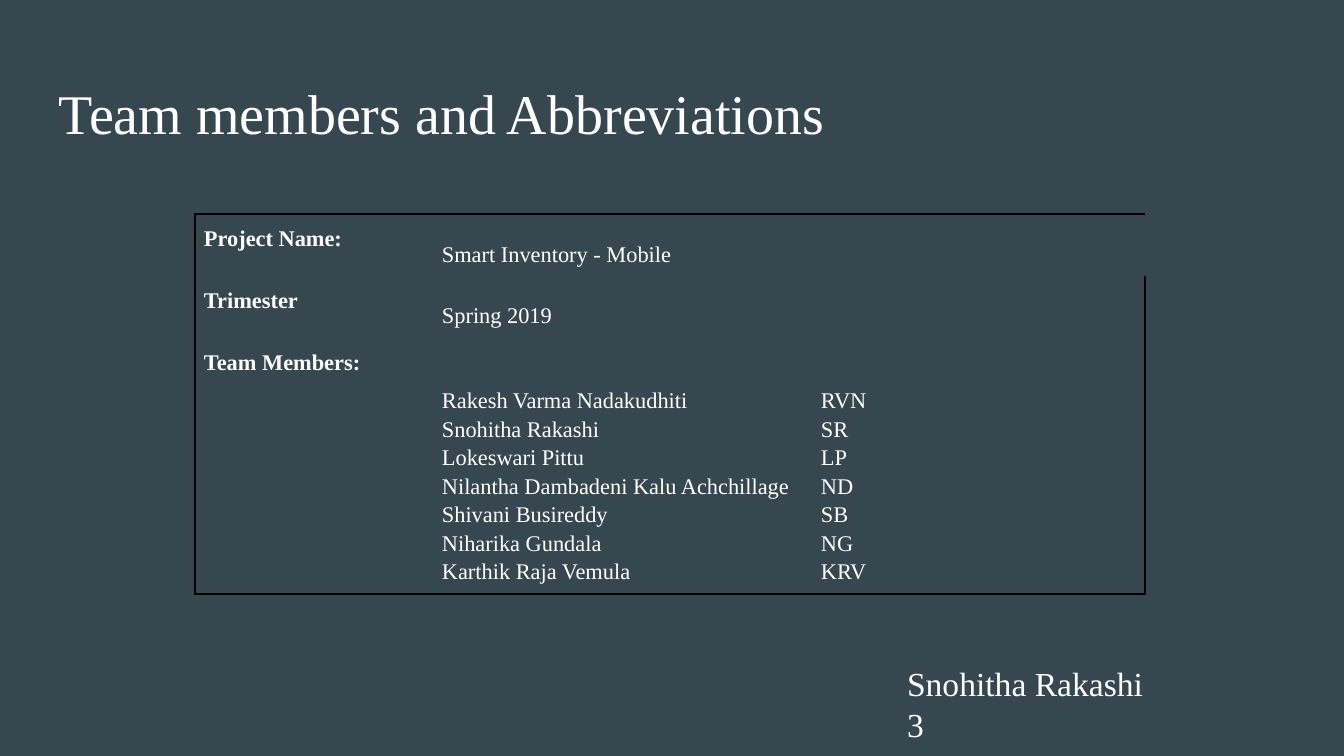
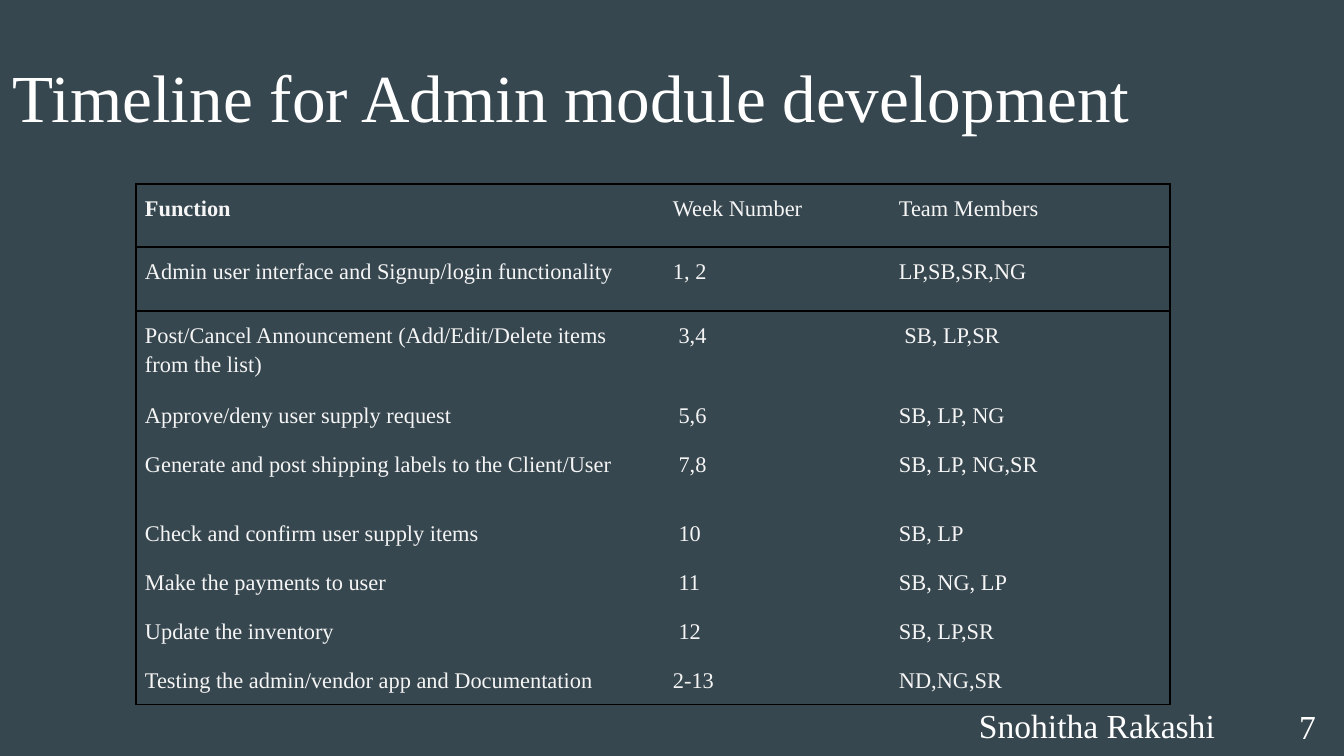
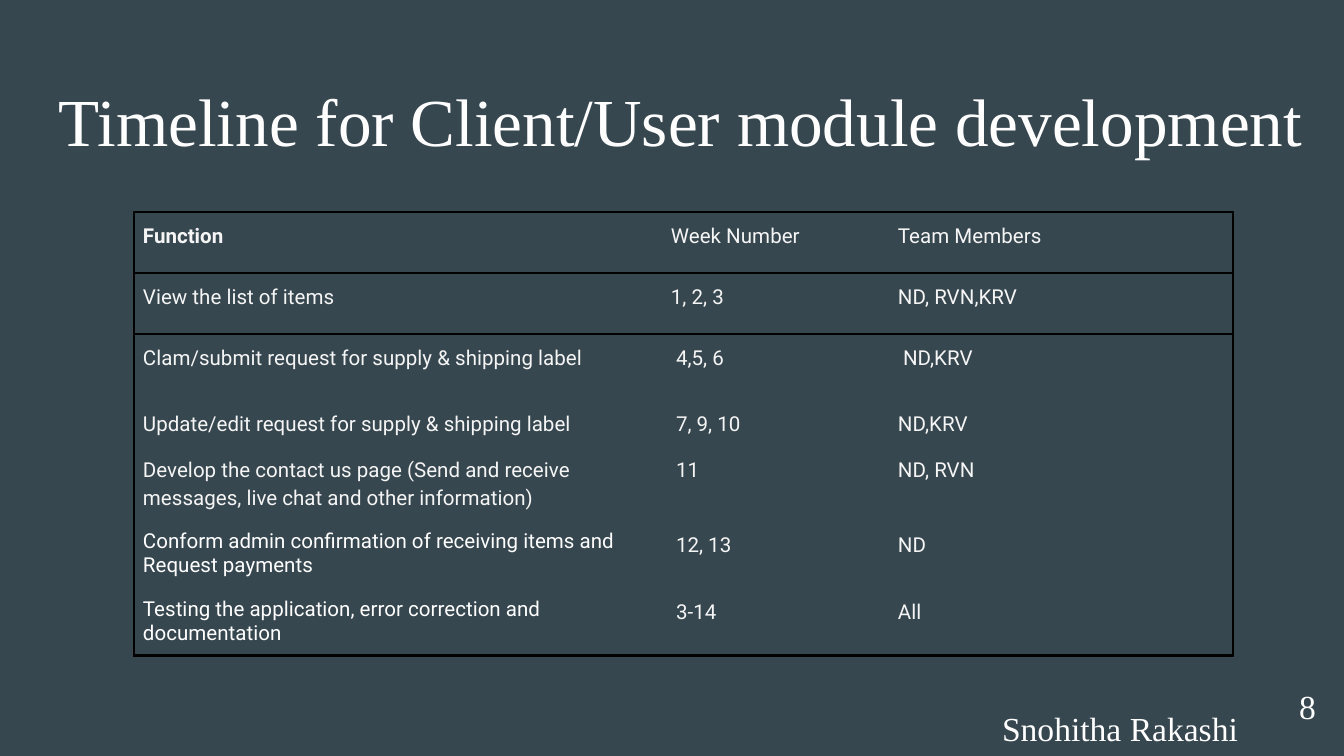
from dataclasses import dataclass, replace

from lxml.etree import SubElement
from pptx import Presentation
from pptx.dml.color import RGBColor
from pptx.enum.text import MSO_ANCHOR as Anchor, PP_ALIGN as Align
from pptx.oxml.ns import qn
from pptx.util import Emu, Pt

EMU_PER_PX = 914400 / 134.4


def px(length):
    return Emu(round(length * EMU_PER_PX))


@dataclass(frozen=True)
class TextStyle:
    font: str
    size: int
    color: str
    bold: bool = False
    align: Align = Align.LEFT
    spacing: float = 1.0


@dataclass(frozen=True)
class Theme:
    background: str = "37474F"
    line: str = "000000"
    box_inset: int = 13
    cell_inset: int = 9
    outer_line: float = 1
    small_title: TextStyle = TextStyle("Times New Roman", 30, "FFFFFF")
    title: TextStyle = TextStyle("Times New Roman", 36, "FFFFFF")
    footer: TextStyle = TextStyle("Times New Roman", 18, "FFFFFF")
    team: TextStyle = TextStyle("Times New Roman", 12, "FFFFFF", spacing=1.15)
    admin: TextStyle = TextStyle("Times New Roman", 12, "F5F5F5", spacing=1.15)
    client: TextStyle = TextStyle("Roboto", 11, "F5F5F5", spacing=1.15)


THEME = Theme()
PRESENTER = "Snohitha Rakashi"
TIMELINE_HEADER = ("Function", "Week Number", "Team Members")

TEAM = (
    ("Rakesh Varma Nadakudhiti", "RVN"),
    ("Snohitha Rakashi", "SR"),
    ("Lokeswari Pittu", "LP"),
    ("Nilantha Dambadeni Kalu Achchillage", "ND"),
    ("Shivani Busireddy", "SB"),
    ("Niharika Gundala", "NG"),
    ("Karthik Raja Vemula", "KRV"),
)
ADMIN_TASKS = (
    ("Admin user interface and Signup/login functionality", "1, 2", "LP,SB,SR,NG"),
    ("Post/Cancel Announcement (Add/Edit/Delete items from the list)", " 3,4", " SB, LP,SR"),
    ("Approve/deny user supply request", " 5,6", "SB, LP, NG"),
    ("Generate and post shipping labels to the Client/User", " 7,8", "SB, LP, NG,SR"),
    ("Check and confirm user supply items", " 10", "SB, LP"),
    ("Make the payments to user", " 11", "SB, NG, LP"),
    ("Update the inventory", " 12", "SB, LP,SR"),
    ("Testing the admin/vendor app and Documentation", "2-13", "ND,NG,SR"),
)
CLIENT_TASKS = (
    ("View the list of items", "1, 2, 3", "ND, RVN,KRV"),
    ("Clam/submit request for supply & shipping label", " 4,5, 6", " ND,KRV"),
    ("Update/edit request for supply & shipping label", " 7, 9, 10", "ND,KRV"),
    ("Develop the contact us page (Send and receive messages, live chat and other information)",
     " 11", "ND, RVN"),
    ("Conform admin confirmation of receiving items and Request payments", " 12, 13", "ND"),
    ("Testing the application, error correction and documentation", " 3-14", "All"),
)


def write_lines(frame, lines, style):
    """Write each line as one paragraph holding one run."""
    for number, line in enumerate(lines):
        paragraph = frame.add_paragraph() if number else frame.paragraphs[0]
        paragraph.alignment = style.align
        paragraph.line_spacing = style.spacing
        run = paragraph.add_run()
        run.text = line
        run.font.name = style.font
        run.font.size = Pt(style.size)
        run.font.bold = style.bold
        run.font.color.rgb = RGBColor.from_string(style.color)


def add_text(slide, box, lines, style, anchor=Anchor.TOP):
    frame = slide.shapes.add_textbox(*map(px, box)).text_frame
    frame.word_wrap = True
    frame.vertical_anchor = anchor
    frame.margin_left = frame.margin_right = px(THEME.box_inset)
    frame.margin_top = frame.margin_bottom = px(THEME.box_inset)
    write_lines(frame, lines, style)
    return frame


def add_slide(presentation, title_box, title, style):
    slide = presentation.slides.add_slide(presentation.slide_layouts[6])
    fill = slide.background.fill
    fill.solid()
    fill.fore_color.rgb = RGBColor.from_string(THEME.background)
    add_text(slide, title_box, [title], style)
    return slide


def set_borders(cell, widths):
    """Set left, right, top and bottom lines in points; None hides a line."""
    properties = cell._tc.get_or_add_tcPr()
    for tag, width in zip(("a:lnL", "a:lnR", "a:lnT", "a:lnB"), widths):
        line = SubElement(properties, qn(tag))
        if width is None:
            SubElement(line, qn("a:noFill"))
        else:
            line.set("w", str(Pt(width)))
            fill = SubElement(line, qn("a:solidFill"))
            SubElement(fill, qn("a:srgbClr"), val=THEME.line)


def add_grid(slide, corner, columns, rows, rules):
    """Add a clear table; rules maps a row boundary to its line width."""
    frame = slide.shapes.add_table(
        len(rows), len(columns), *map(px, (*corner, sum(columns), sum(rows))))
    table = frame.table
    table.first_row = table.horz_banding = False
    for column, width in zip(table.columns, columns):
        column.width = px(width)
    for row, height in zip(table.rows, rows):
        row.height = px(height)
    last = len(columns) - 1
    for r in range(len(rows)):
        for c in range(len(columns)):
            cell = table.cell(r, c)
            set_borders(cell, (
                THEME.outer_line if c == 0 else None,
                THEME.outer_line if c == last else None,
                rules.get(r), rules.get(r + 1)))
            cell.fill.background()
            cell.margin_left = cell.margin_right = px(THEME.cell_inset)
            cell.margin_top = cell.margin_bottom = px(THEME.cell_inset)
    return table


def add_team_table(slide, corner):
    rows = (62, 62, 256)
    table = add_grid(slide, corner, (238, 379, 333), rows, {0: 1, len(rows): 1})
    table.cell(0, 1).merge(table.cell(0, 2))
    label_style = replace(THEME.team, bold=True)
    member_style = replace(THEME.team, align=Align.JUSTIFY)
    for r, label in enumerate(("Project Name:", "Trimester", "Team Members:")):
        write_lines(table.cell(r, 0).text_frame, [label], label_style)
    names, abbreviations = zip(*TEAM)
    for r, c, lines, style in (
        (0, 1, ["Smart Inventory - Mobile"], THEME.team),
        (1, 1, ["Spring 2019"], THEME.team),
        (2, 1, names, member_style),
        (2, 2, abbreviations, member_style),
    ):
        cell = table.cell(r, c)
        cell.vertical_anchor = Anchor.BOTTOM
        write_lines(cell.text_frame, lines, style)


def add_timeline(slide, corner, columns, rows, tasks, style, bottom_line, tight_rows=()):
    """Add a task table; tight rows have white, single-spaced task names."""
    rules = {0: 1, 1: 1, 2: 0.75, len(rows): bottom_line}
    table = add_grid(slide, corner, columns, rows, rules)
    for r, texts in enumerate((TIMELINE_HEADER, *tasks)):
        for c, text in enumerate(texts):
            is_task = c == 0 and r > 1
            cell_style = replace(style, bold=r == c == 0,
                                 align=Align.LEFT if is_task else Align.JUSTIFY)
            if is_task and r in tight_rows:
                cell_style = replace(cell_style, color="FFFFFF", spacing=1.0)
            write_lines(table.cell(r, c).text_frame, [text], cell_style)


def add_footer(slide, name_box, number_box, number, anchor):
    add_text(slide, name_box, [PRESENTER], THEME.footer)
    return add_text(slide, number_box, [number],
                    replace(THEME.footer, align=Align.RIGHT), anchor)


def build_team_slide(presentation):
    slide = add_slide(presentation, (46, 66, 1253, 85),
                      "Team members and Abbreviations", THEME.small_title)
    add_team_table(slide, (195, 214))
    add_text(slide, (894, 661, 435, 85), [PRESENTER, "3"], THEME.footer, Anchor.MIDDLE)


def build_admin_slide(presentation):
    slide = add_slide(presentation, (0, 42, 1199, 85),
                      "Timeline for Admin module development", THEME.title)
    add_timeline(slide, (136, 184), (528, 226, 280),
                 (63, 64, 76, 47, 69, 47, 47, 47, 47),
                 ADMIN_TASKS, THEME.admin, bottom_line=1)
    number_frame = add_footer(slide, (966, 692, 305, 64), (1249, 681, 80, 65),
                              "7", Anchor.BOTTOM)
    number_frame.margin_bottom = 0


def build_client_slide(presentation):
    slide = add_slide(presentation, (46, 66, 1298, 85),
                      "Timeline for Client/User module development", THEME.title)
    add_timeline(slide, (134, 212), (528, 227, 344),
                 (61, 61, 66, 46, 74, 66, 66),
                 CLIENT_TASKS, THEME.client, bottom_line=1.5, tight_rows=(5, 6))
    add_footer(slide, (989, 695, 293, 58), (1249, 677, 80, 58), "8", Anchor.MIDDLE)


def main():
    presentation = Presentation()
    presentation.slide_width = px(1344)
    presentation.slide_height = px(756)
    build_team_slide(presentation)
    build_admin_slide(presentation)
    build_client_slide(presentation)
    presentation.save("out.pptx")


if __name__ == "__main__":
    main()
